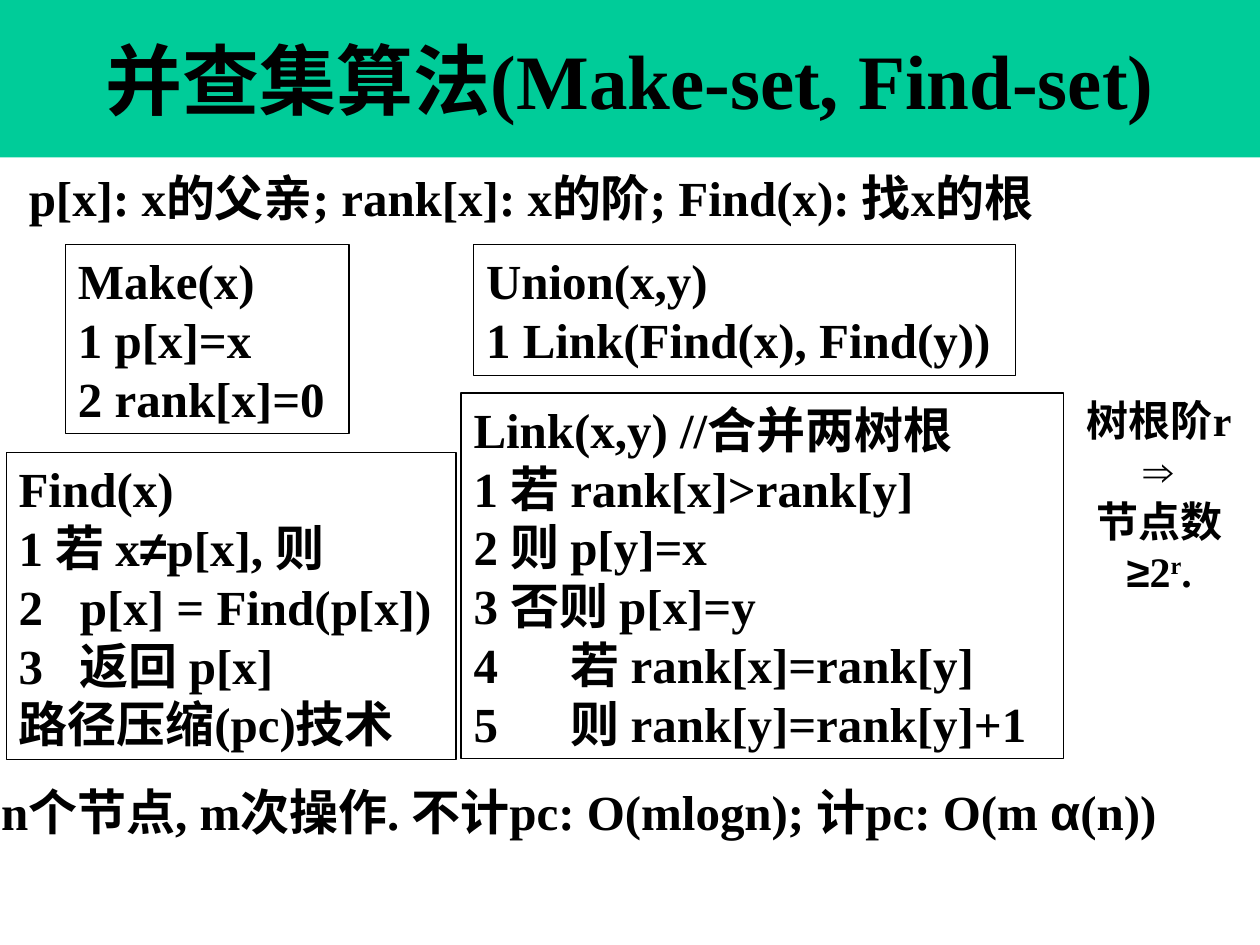
from dataclasses import dataclass
from typing import Optional

from lxml.etree import SubElement
from pptx import Presentation
from pptx.dml.color import RGBColor
from pptx.enum.shapes import MSO_SHAPE as Shape
from pptx.enum.text import MSO_ANCHOR as Anchor, MSO_AUTO_SIZE as AutoSize, PP_ALIGN as Align
from pptx.oxml.ns import qn
from pptx.util import Pt


@dataclass(frozen=True)
class Theme:
    ink: RGBColor = RGBColor(0x00, 0x00, 0x00)
    banner: RGBColor = RGBColor(0x00, 0xCC, 0x99)
    font: str = "Times New Roman"
    symbol_font: str = "Arial"
    title_size: float = 44
    body_size: float = 28
    note_size: float = 24
    outline: float = 0.75


@dataclass(frozen=True)
class Span:
    text: str
    symbol: bool = False
    raised: bool = False


@dataclass(frozen=True)
class Line:
    spans: tuple[Span, ...]
    tab: Optional[float] = None


@dataclass(frozen=True)
class Block:
    left: float
    top: float
    width: float
    height: float
    lines: tuple[Line, ...]


THEME = Theme()
SLIDE_WIDTH, SLIDE_HEIGHT, BANNER_HEIGHT = 720, 540, 90
STEP_TAB, NESTED_TAB = 35, 55.5


def line(*parts: str | Span, tab: Optional[float] = None) -> Line:
    return Line(tuple(Span(part) if isinstance(part, str) else part for part in parts), tab)


def symbol(text: str) -> Span:
    return Span(text, symbol=True)


PROCEDURES = (
    Block(37.44, 139.68, 162, 108, (
        line("Make(x)"), line("1 p[x]=x"), line("2 rank[x]=0"))),
    Block(270.72, 139.68, 309.6, 74.88, (
        line("Union(x,y)"), line("1 Link(Find(x), Find(y))"))),
    Block(263.52, 224.64, 344.16, 208.8, (
        line("Link(x,y) //合并两树根"),
        line("1 若 rank[x]>rank[y]"),
        line("2 则 p[y]=x"),
        line("3 否则 p[x]=y"),
        line("4\t若 rank[x]=rank[y]", tab=NESTED_TAB),
        line("5\t则 rank[y]=rank[y]+1", tab=NESTED_TAB))),
    Block(3.6, 258.48, 257.04, 175.68, (
        line("Find(x)"),
        line("1 若 x", symbol("≠"), "p[x], 则"),
        line("2\tp[x] = Find(p[x])", tab=STEP_TAB),
        line("3\t返回 p[x]", tab=STEP_TAB),
        line("路径压缩(pc)技术"))),
)
STATEMENTS = (
    Block(9.36, 88.56, 641.52, 44.64, (
        line("p[x]: x的父亲; rank[x]: x的阶; Find(x): 找x的根"),)),
    Block(-6.48, 439.92, 735.84, 44.64, (
        line("n个节点, m次操作. 不计pc: O(mlogn); 计pc: O(m ", symbol("α"), "(n))"),)),
)
RANK_NOTE = Block(605.52, 221.76, 113.76, 122.4, (
    line(" 树根阶r "),
    line(" ", symbol("⇒ ")),
    line(" 节点数 "),
    line(" ", symbol("≥"), "2", Span("r", raised=True), ". ")))

CODE_FORMAT = {"alignment": Align.LEFT}
STATEMENT_FORMAT = {"alignment": Align.LEFT, "line_spacing": 1.1,
                    "space_before": Pt(3.5), "space_after": Pt(3.5)}
NOTE_FORMAT = {"alignment": Align.CENTER}


def apply(target, values: dict) -> None:
    for name, value in values.items():
        setattr(target, name, value)


def add_span(para, span: Span, size: float) -> None:
    run = para.add_run()
    run.text = span.text
    face = THEME.symbol_font if span.symbol else THEME.font
    apply(run.font, {"name": face, "size": Pt(size), "bold": True})
    run.font.color.rgb = THEME.ink
    if span.raised:
        run._r.get_or_add_rPr().set("baseline", "30000")


def set_tab(para, position: float) -> None:
    tabs = SubElement(para._p.get_or_add_pPr(), qn("a:tabLst"))
    SubElement(tabs, qn("a:tab"), pos=str(int(Pt(position))), algn="l")


def write_lines(box, lines: tuple[Line, ...], size: float, para_format: dict) -> None:
    frame = box.text_frame
    for index, item in enumerate(lines):
        para = frame.add_paragraph() if index else frame.paragraphs[0]
        apply(para, para_format)
        if item.tab is not None:
            set_tab(para, item.tab)
        for span in item.spans:
            add_span(para, span, size)


def add_block(page, block: Block, size: float, para_format: dict, outlined: bool = False) -> None:
    bounds = [Pt(value) for value in (block.left, block.top, block.width, block.height)]
    if outlined:
        box = page.shapes.add_shape(Shape.RECTANGLE, *bounds)
        box.shadow.inherit = False
        box.fill.background()
        box.line.color.rgb = THEME.ink
        box.line.width = Pt(THEME.outline)
    else:
        box = page.shapes.add_textbox(*bounds)
    apply(box.text_frame, {
        "word_wrap": False, "auto_size": AutoSize.SHAPE_TO_FIT_TEXT,
        "vertical_anchor": Anchor.TOP,
        "margin_left": Pt(7.2), "margin_right": Pt(7.2),
        "margin_top": Pt(3.6), "margin_bottom": Pt(3.6)})
    write_lines(box, block.lines, size, para_format)


def add_title(page) -> None:
    title = page.shapes.title
    apply(title, {"left": Pt(0), "top": Pt(0),
                  "width": Pt(SLIDE_WIDTH), "height": Pt(BANNER_HEIGHT)})
    title.fill.solid()
    title.fill.fore_color.rgb = THEME.banner
    apply(title.text_frame, {"word_wrap": True, "auto_size": AutoSize.NONE,
                             "vertical_anchor": Anchor.MIDDLE})
    write_lines(title, (line("并查集算法(Make-set, Find-set)"),),
                THEME.title_size, {"alignment": Align.CENTER})


def main() -> None:
    deck = Presentation()
    apply(deck, {"slide_width": Pt(SLIDE_WIDTH), "slide_height": Pt(SLIDE_HEIGHT)})
    page = deck.slides.add_slide(deck.slide_layouts.get_by_name("Title Only"))
    add_title(page)
    for block in PROCEDURES:
        add_block(page, block, THEME.body_size, CODE_FORMAT, outlined=True)
    for block in STATEMENTS:
        add_block(page, block, THEME.body_size, STATEMENT_FORMAT)
    add_block(page, RANK_NOTE, THEME.note_size, NOTE_FORMAT)
    deck.save("out.pptx")


if __name__ == "__main__":
    main()
